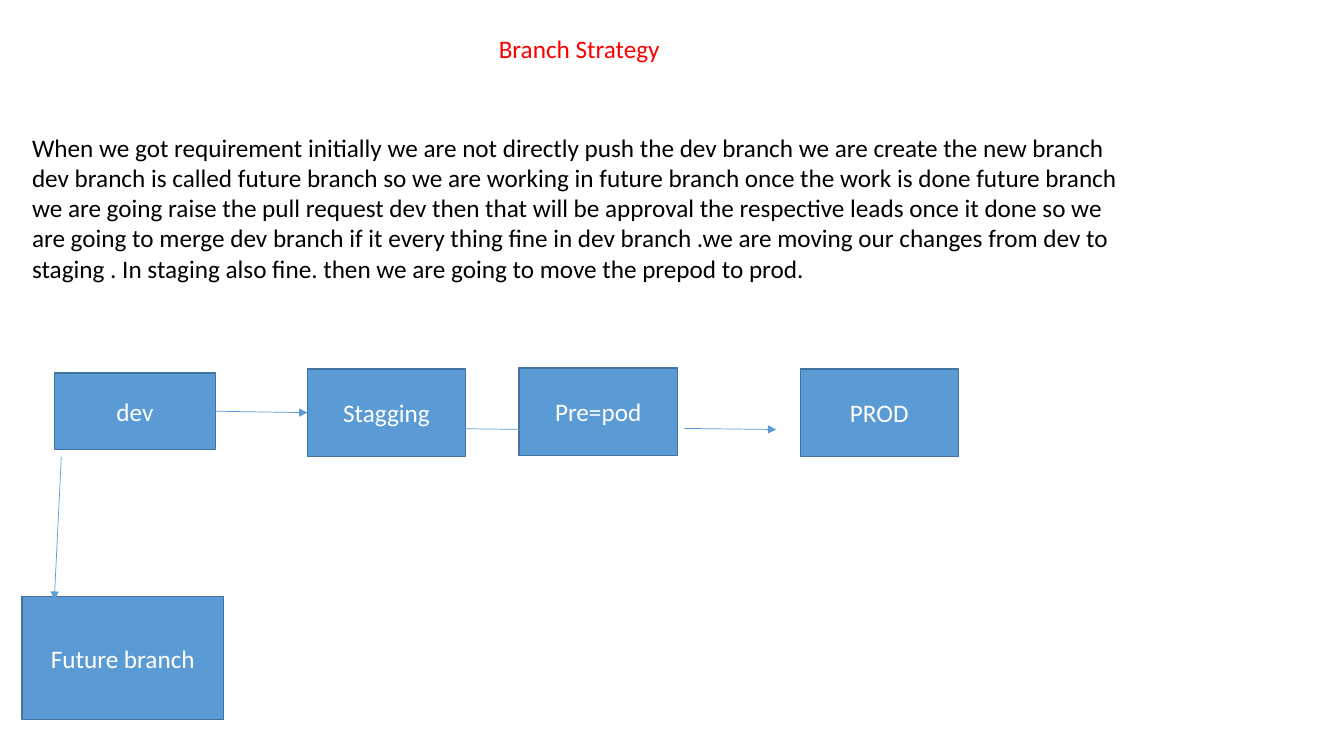
from dataclasses import dataclass

from pptx import Presentation
from pptx import util as u
from pptx.dml import color
from pptx.enum import shapes, text
from pptx.oxml import ns, xmlchemy


@dataclass(frozen=True)
class Theme:
    font: str = "Calibri"
    size: float = 18
    title: str = "FF0000"
    body: str = "000000"
    label: str = "FFFFFF"
    fill: str = "5B9BD5"
    border: str = "43739E"
    border_width: float = 1
    arrow_width: float = 0.5


THEME = Theme()
TITLE = "Branch Strategy"
EXPLANATION = (
    "When we got requirement initially we are not directly push the dev branch "
    "we are create the new branch dev branch is called future branch so we are "
    "working in future branch once the work is done future branch we are going "
    "raise the pull request dev then that will be approval the respective leads "
    "once it done so we are going to merge dev branch if it every thing fine in "
    "dev branch .we are moving our changes from dev to staging . In staging also "
    "fine. then we are going to move the prepod to prod."
)
STAGE_SIZE = (113, 62.6)
BRANCHES = {
    "dev": (23, 3.6, 115.2, 54.7),
    "Stagging": (203.8, 0.7, *STAGE_SIZE),
    "Pre=pod": (355, 0, *STAGE_SIZE),
    "PROD": (555.8, 0.7, *STAGE_SIZE),
    "Future branch": (0, 163.4, 144, 87.8),
}
LOOSE_ARROWS = (
    (298, 43.2, 363.6, 44),
    (473, 43.2, 538.6, 44),
    (28, 63.4, 23, 165.6),
)


def points(*lengths):
    return [u.Pt(length) for length in lengths]


def apply_format(target, values):
    for name, value in values.items():
        setattr(target, name, value)


def rgb(code):
    return color.RGBColor.from_string(code)


def write(frame, words, ink, align, frame_format):
    apply_format(frame, frame_format)
    paragraph = frame.paragraphs[0]
    paragraph.alignment = align
    run = paragraph.add_run()
    run.text = words
    apply_format(run.font, {"name": THEME.font, "size": u.Pt(THEME.size)})
    run.font.color.rgb = rgb(ink)


def add_words(slide, box, words, ink, wrap):
    area = slide.shapes.add_textbox(*points(*box))
    write(area.text_frame, words, ink, text.PP_ALIGN.LEFT,
          {"word_wrap": wrap, "auto_size": text.MSO_AUTO_SIZE.NONE})


def add_branch(slide, box, name):
    branch = slide.shapes.add_shape(shapes.MSO_SHAPE.RECTANGLE, *points(*box))
    branch.shadow.inherit = False
    branch.fill.solid()
    branch.fill.fore_color.rgb = rgb(THEME.fill)
    branch.line.color.rgb = rgb(THEME.border)
    branch.line.width = u.Pt(THEME.border_width)
    write(branch.text_frame, name, THEME.label, text.PP_ALIGN.CENTER,
          {"word_wrap": True, "vertical_anchor": text.MSO_ANCHOR.MIDDLE})
    return branch


def add_arrow(slide, ends):
    arrow = slide.shapes.add_connector(shapes.MSO_CONNECTOR.STRAIGHT, *points(*ends))
    arrow.line.color.rgb = rgb(THEME.fill)
    arrow.line.width = u.Pt(THEME.arrow_width)
    head = xmlchemy.OxmlElement("a:tailEnd")
    head.set("type", "triangle")
    arrow.line._get_or_add_ln().append(head)
    arrow._element.spPr.append(
        arrow._element.makeelement(ns.qn("a:effectLst"), {}))
    return arrow


def add_branch_flow(slide, left, top):
    branches = {
        name: add_branch(slide, (left + x, top + y, width, height), name)
        for name, (x, y, width, height) in BRANCHES.items()
    }
    promotion = add_arrow(slide, (left, top, left, top))
    promotion.begin_connect(branches["dev"], 3)
    promotion.end_connect(branches["Stagging"], 1)
    for x1, y1, x2, y2 in LOOSE_ARROWS:
        add_arrow(slide, (left + x1, top + y1, left + x2, top + y2))


def main():
    deck = Presentation()
    apply_format(deck, {"slide_width": u.Pt(960), "slide_height": u.Pt(540)})
    slide = deck.slides.add_slide(deck.slide_layouts[6])
    add_words(slide, (15.8, 90.7, 802, 138.2), EXPLANATION, THEME.body, True)
    add_words(slide, (349.2, 20.2, 134.6, 28.8), TITLE, THEME.title, False)
    add_branch_flow(slide, 15.8, 262.8)
    deck.save("out.pptx")


if __name__ == "__main__":
    main()
